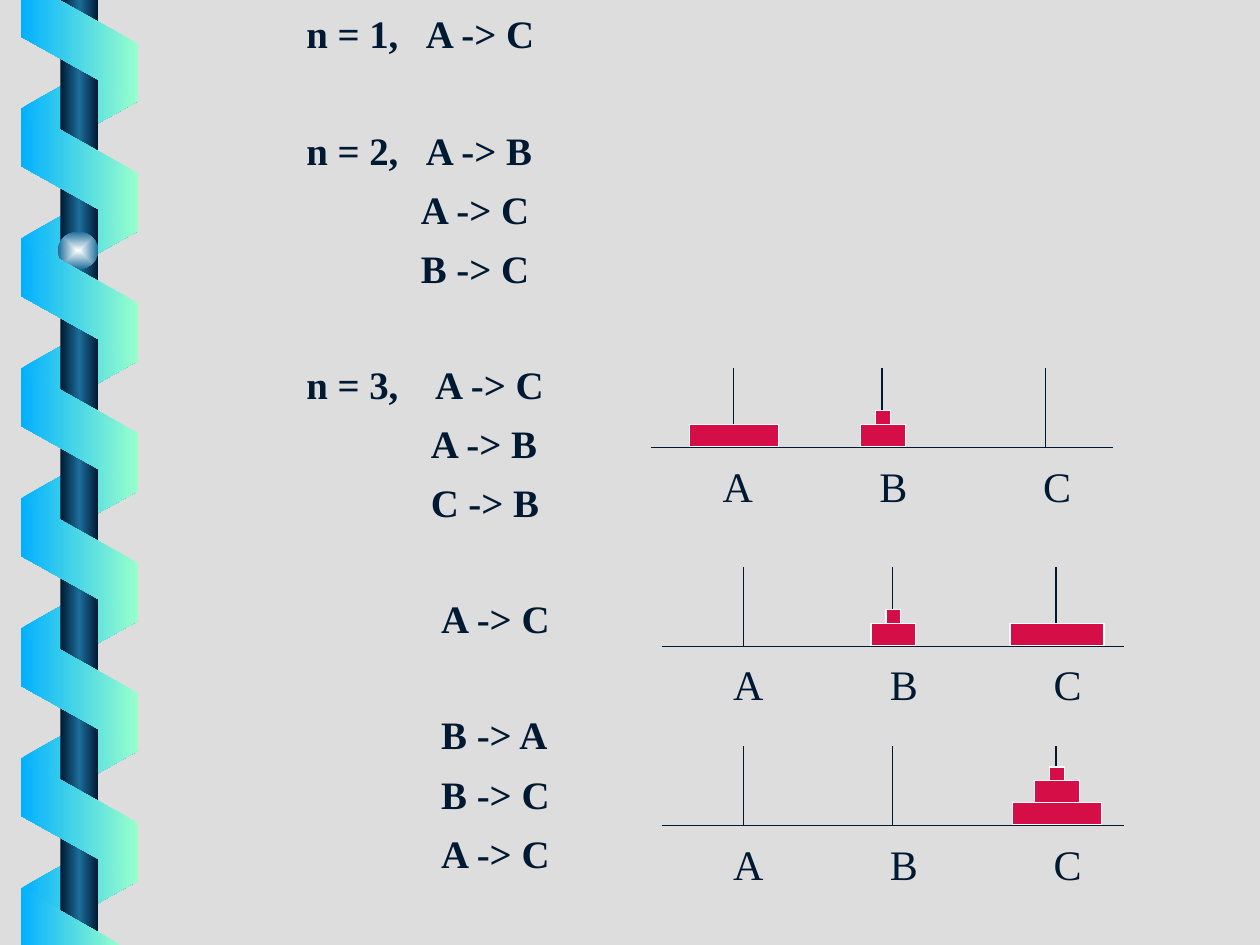
from lxml.etree import SubElement
from pptx import Presentation
from pptx.dml.color import RGBColor
from pptx.enum.shapes import MSO_CONNECTOR, MSO_SHAPE
from pptx.enum.text import MSO_ANCHOR, MSO_AUTO_SIZE, PP_ALIGN
from pptx.oxml.ns import qn
from pptx.util import Cm, Pt

BACKGROUND = RGBColor(0xDD, 0xDD, 0xDD)
NAVY = RGBColor(0x00, 0x19, 0x32)
STEEL = RGBColor(0x1C, 0x6D, 0x9A)
BLUE = RGBColor(0x01, 0xB0, 0xFF)
MINT = RGBColor(0x99, 0xFF, 0xCC)
PEARL = RGBColor(0xFE, 0xFF, 0xFF)
WHITE = RGBColor(0xFF, 0xFF, 0xFF)
CRIMSON = RGBColor(0xD6, 0x0E, 0x47)
FONT = "Times New Roman"


def paint_gradient(shape, colors, radial=False):
    """Evenly spaced stops, running right to left or out from the centre."""
    shape.shadow.inherit = False
    shape.line.fill.background()
    shape.fill.gradient()
    gradient = shape._element.spPr.find(qn("a:gradFill"))
    gradient.set("rotWithShape", "0")
    for child in list(gradient):
        gradient.remove(child)
    stops = SubElement(gradient, qn("a:gsLst"))
    for i, color in enumerate(colors):
        stop = SubElement(stops, qn("a:gs"), pos=str(100000 * i // (len(colors) - 1)))
        SubElement(stop, qn("a:srgbClr"), val=str(color))
    if radial:
        center = SubElement(gradient, qn("a:path"), path="rect")
        SubElement(center, qn("a:fillToRect"), l="50000", t="50000", r="50000", b="50000")
    else:
        SubElement(gradient, qn("a:lin"), ang="10800000", scaled="0")


def draw_line(x1, y1, x2, y2):
    line = slide.shapes.add_connector(MSO_CONNECTOR.STRAIGHT, Cm(x1), Cm(y1), Cm(x2), Cm(y2))
    line.line.color.rgb = NAVY
    line.line.width = Pt(0.75)
    SubElement(line._element.spPr, qn("a:effectLst"))


presentation = Presentation()
presentation.slide_width, presentation.slide_height = Cm(25.4), Cm(19.05)
slide = presentation.slides.add_slide(presentation.slide_layouts[1])
slide.background.fill.solid()
slide.background.fill.fore_color.rgb = BACKGROUND
title = slide.shapes.title._element
title.getparent().remove(title)

# Spiral: bands behind the pole, the pole with its bead, bands in front
for front, first_top, count in ((False, 0.93, 7), (True, 2.24, 6)):
    if front:
        pole = slide.shapes.add_shape(MSO_SHAPE.RECTANGLE, Cm(1.22), 0, Cm(0.76), Cm(19.05))
        paint_gradient(pole, (NAVY, STEEL, NAVY))
        bead = slide.shapes.add_shape(MSO_SHAPE.OVAL, Cm(1.17), Cm(4.67), Cm(0.81), Cm(0.76))
        paint_gradient(bead, (PEARL, STEEL), radial=True)
    for i in range(count):
        band = slide.shapes.add_shape(MSO_SHAPE.PARALLELOGRAM, Cm(0.36),
                                      Cm(first_top + 2.62 * i), Cm(2.49), Cm(2.36))
        band.adjustments[0] = 0.56
        band.rotation = 270 if front else 90
        if not front:
            band._element.spPr.xfrm.set("flipH", "1")
        paint_gradient(band, (MINT, BLUE) if front else (BLUE, MINT))

# Cut-off bands at the top and bottom edges
for outline in (
    ((0.43, 0), (0.43, 0.74), (2.79, 2.06), (2.79, 0.89), (1.19, 0)),
    ((2.43, 19.05), (0.43, 17.91), (0.42, 19.05)),
):
    corners = [(Cm(x), Cm(y)) for x, y in outline]
    builder = slide.shapes.build_freeform(*corners[0])
    builder.add_line_segments(corners[1:], close=True)
    paint_gradient(builder.convert_to_shape(), (MINT, BLUE))

# Moves: heading, indent of the move, move, and whether a gap comes before
MOVES = [
    ("n = 1,", 4.95, "A -> C", False),
    ("n = 2,", 4.95, "A -> B", True),
    ("", 4.85, "A -> C", False),
    ("", 4.85, "B -> C", False),
    ("n = 3,", 5.14, "A -> C", True),
    ("", 5.05, "A -> B", False),
    ("", 5.05, "C -> B", False),
    ("", 5.26, "A -> C", True),
    ("", 5.26, "B -> A", True),
    ("", 5.26, "B -> C", False),
    ("", 5.26, "A -> C", False),
]
HEADING_INDENT = 2.54
moves = slide.placeholders[1]
moves.left, moves.top, moves.width, moves.height = Cm(3.38), 0, Cm(21.59), Cm(17.12)
moves_frame = moves.text_frame
moves_frame.auto_size = MSO_AUTO_SIZE.NONE
moves_frame.vertical_anchor = MSO_ANCHOR.TOP
moves_frame.margin_top = Cm(0.2)
for i, (heading, indent, move, gap) in enumerate(MOVES):
    paragraph = moves_frame.paragraphs[0] if i == 0 else moves_frame.add_paragraph()
    paragraph.level = 1
    paragraph.alignment = PP_ALIGN.LEFT
    paragraph.space_before = Pt(0 if i == 0 else 39.8 if gap else 7.1)
    properties = paragraph._p.get_or_add_pPr()
    properties.set("marL", str(Cm(indent)))
    properties.set("indent", str(Cm(HEADING_INDENT - indent) if heading else 0))
    SubElement(properties, qn("a:buNone"))
    run = paragraph.add_run()
    run.text = f"{heading}\t{move}" if heading else move
    run.font.name, run.font.size, run.font.bold = FONT, Pt(22.2), True
    run.font.color.rgb = NAVY

# Towers: left end and height of the base line, then disc sizes on each peg
LARGE, WIDE, MEDIUM, SMALL = (1.8, 0.44), (1.9, 0.44), (0.9, 0.44), (0.3, 0.28)
TOWERS = [
    (13.13, 9.02, {"A": [LARGE], "B": [MEDIUM, SMALL]}),
    (13.34, 13.03, {"B": [MEDIUM, SMALL], "C": [WIDE]}),
    (13.34, 16.64, {"C": [LARGE, MEDIUM, SMALL]}),
]
# Peg name: peg offset, label offset, label width
PEGS = {"A": (1.65, 1.19, 1.35), "B": (4.65, 4.35, 1.5), "C": (7.95, 7.65, 1.5)}
for left, base, stacks in TOWERS:
    for peg_offset, _, _ in PEGS.values():
        draw_line(left + peg_offset, base - 1.6, left + peg_offset, base)
    draw_line(left, base, left + 9.31, base)
    for peg, (peg_offset, label_offset, label_width) in PEGS.items():
        top = base - 0.02
        for width, height in stacks.get(peg, []):
            top -= height
            disc = slide.shapes.add_shape(MSO_SHAPE.RECTANGLE,
                                          Cm(left + peg_offset + 0.02 - width / 2), Cm(top),
                                          Cm(width), Cm(height))
            disc.shadow.inherit = False
            disc.fill.solid()
            disc.fill.fore_color.rgb = CRIMSON
            disc.line.color.rgb = WHITE
            disc.line.width = Pt(0.75)
        label = slide.shapes.add_textbox(Cm(left + label_offset), Cm(base + 0.13),
                                         Cm(label_width), Cm(1.27))
        label.text_frame.word_wrap = True
        run = label.text_frame.paragraphs[0].add_run()
        run.text = peg
        run.font.name, run.font.size = FONT, Pt(24)
        run.font.color.rgb = NAVY

presentation.save("out.pptx")
